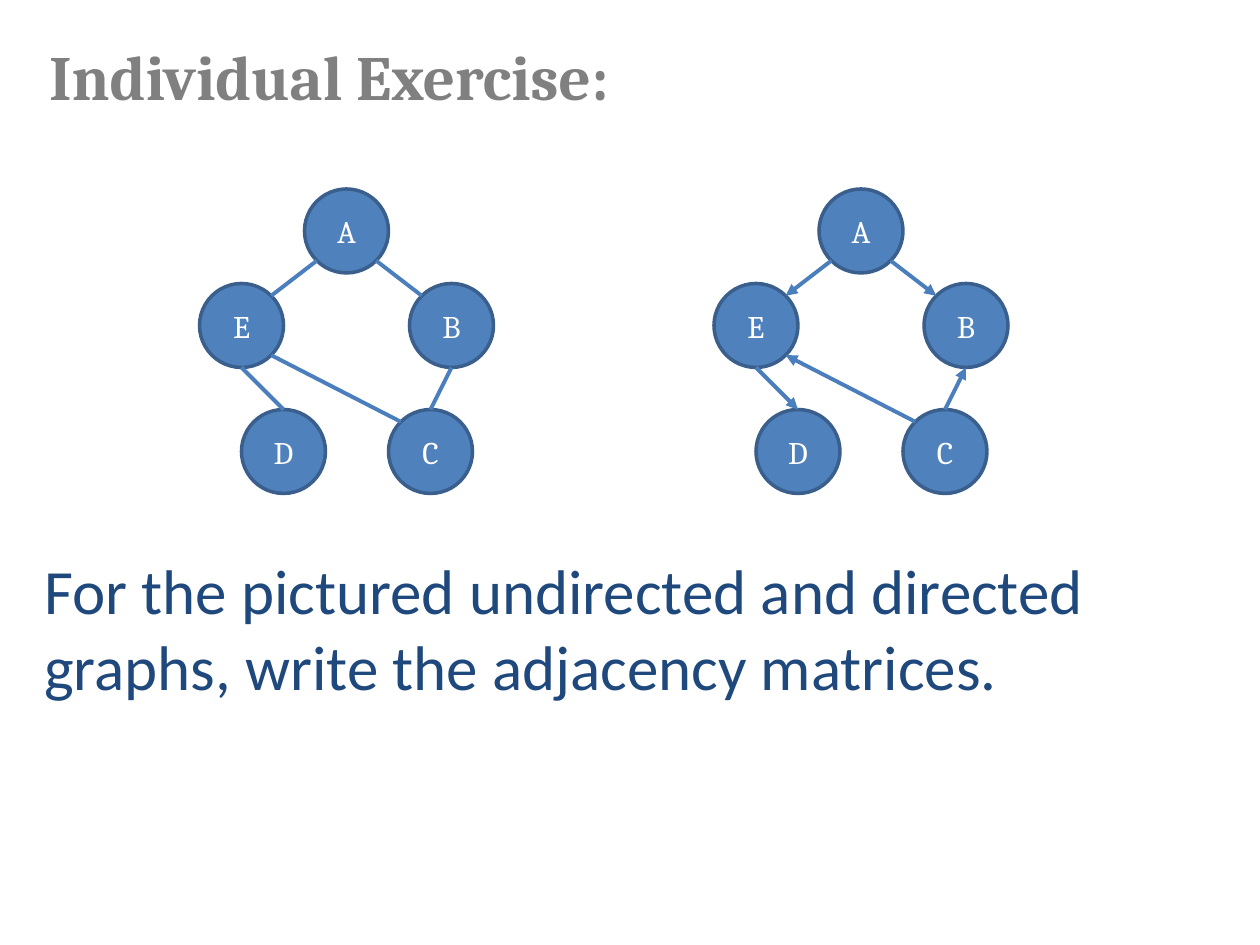
from math import cos, radians, sin

from lxml import etree
from pptx import Presentation
from pptx import util as u
from pptx.dml.color import RGBColor
from pptx.enum import shapes, text
from pptx.oxml.ns import qn

UNIT = 1 / 12  # grid step in inches
SIZE = 8       # node diameter in grid steps

# Node: column and row inside the graph's box
NODES = {"A": (10, 0), "B": (20, 9), "C": (18, 21), "D": (4, 21), "E": (0, 9)}

# Edge: target, its angle, source, its angle (clockwise from the right)
EDGES = [
    ("E", -45, "A", 135),
    ("B", -135, "A", 45),
    ("B", 90, "C", -90),
    ("E", 45, "C", -135),
    ("D", -90, "E", 90),
]


def tint(code):
    return RGBColor.from_string(code)


def grid(n):
    return u.Inches(n * UNIT)


def put(shape, box):
    shape.left, shape.top, shape.width, shape.height = map(u.Inches, box)


def write(para, words, font, size, color, bold=False):
    run = para.add_run()
    run.text = words
    run.font.name, run.font.size, run.font.bold = font, u.Pt(size), bold
    run.font.color.rgb = tint(color)


def head(shape, box):
    """Slide title, at the top left."""
    put(shape, box)
    frame = shape.text_frame
    frame.word_wrap = True
    frame.auto_size = text.MSO_AUTO_SIZE.NONE
    frame.vertical_anchor = text.MSO_ANCHOR.TOP
    para = frame.paragraphs[0]
    para.alignment = text.PP_ALIGN.LEFT
    write(para, "Individual Exercise:", "Cambria", 36, "808080", True)


def task(shape, box):
    """Instruction without a bullet."""
    put(shape, box)
    para = shape.text_frame.paragraphs[0]
    props = para._p.get_or_add_pPr()
    props.set("marL", "0")
    props.set("indent", "0")
    etree.SubElement(props, qn("a:buNone"))
    write(para, "For the pictured undirected and directed graphs, "
          "write the adjacency matrices.", "Calibri", 36, "1F497D")


def node(slide, name, col, row):
    dot = slide.shapes.add_shape(shapes.MSO_SHAPE.OVAL, grid(col), grid(row),
                                 grid(SIZE), grid(SIZE))
    dot.shadow.inherit = False
    dot.fill.solid()
    dot.fill.fore_color.rgb = tint("4F81BD")
    dot.line.color.rgb = tint("3A5F8C")
    dot.line.width = u.Pt(2)
    frame = dot.text_frame
    frame.vertical_anchor = text.MSO_ANCHOR.MIDDLE
    para = frame.paragraphs[0]
    para.alignment = text.PP_ALIGN.CENTER
    write(para, name, "Cambria", 18, "FFFFFF")


def edge(slide, start, end, arrow):
    line = slide.shapes.add_connector(shapes.MSO_CONNECTOR.STRAIGHT,
                                      *map(grid, start + end))
    line.line.color.rgb = tint("4B7EBC")
    line.line.width = u.Pt(2.25)
    if arrow:
        tip = etree.SubElement(line.line._get_or_add_ln(), qn("a:headEnd"))
        tip.set("type", "triangle")
    etree.SubElement(line._element.spPr, qn("a:effectLst"))


def graph(slide, left, top, arrow):
    """Five nodes and their edges, from a corner given in grid steps."""
    def rim(name, angle):
        col, row = NODES[name]
        half, turn = SIZE / 2, radians(angle)
        return (left + col + half * (1 + cos(turn)),
                top + row + half * (1 + sin(turn)))

    for name, (col, row) in NODES.items():
        node(slide, name, left + col, top + row)
    for goal, into, source, out in EDGES:
        edge(slide, rim(goal, into), rim(source, out), arrow)


def main():
    deck = Presentation()
    deck.slide_width, deck.slide_height = u.Inches(10), u.Inches(7.5)
    slide = deck.slides.add_slide(deck.slide_layouts[1])
    head(slide.shapes.title, (0.29, 0.25, 7.37, 0.7))
    task(slide.placeholders[1], (0.25, 4.33, 9.5, 3.17))
    # Undirected on the left, directed on the right
    graph(slide, 19, 18, False)
    graph(slide, 68, 18, True)
    deck.save("out.pptx")


if __name__ == "__main__":
    main()
